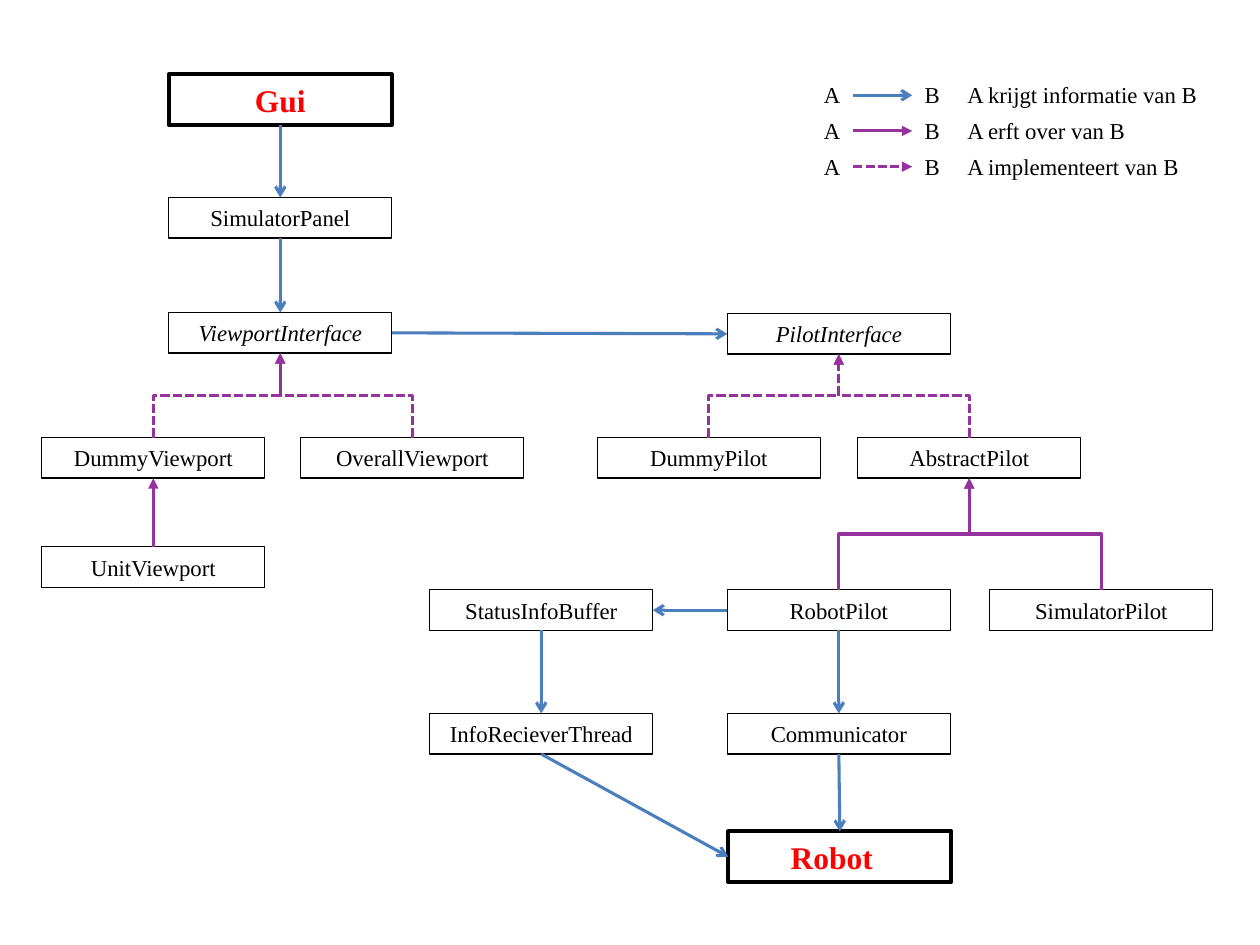
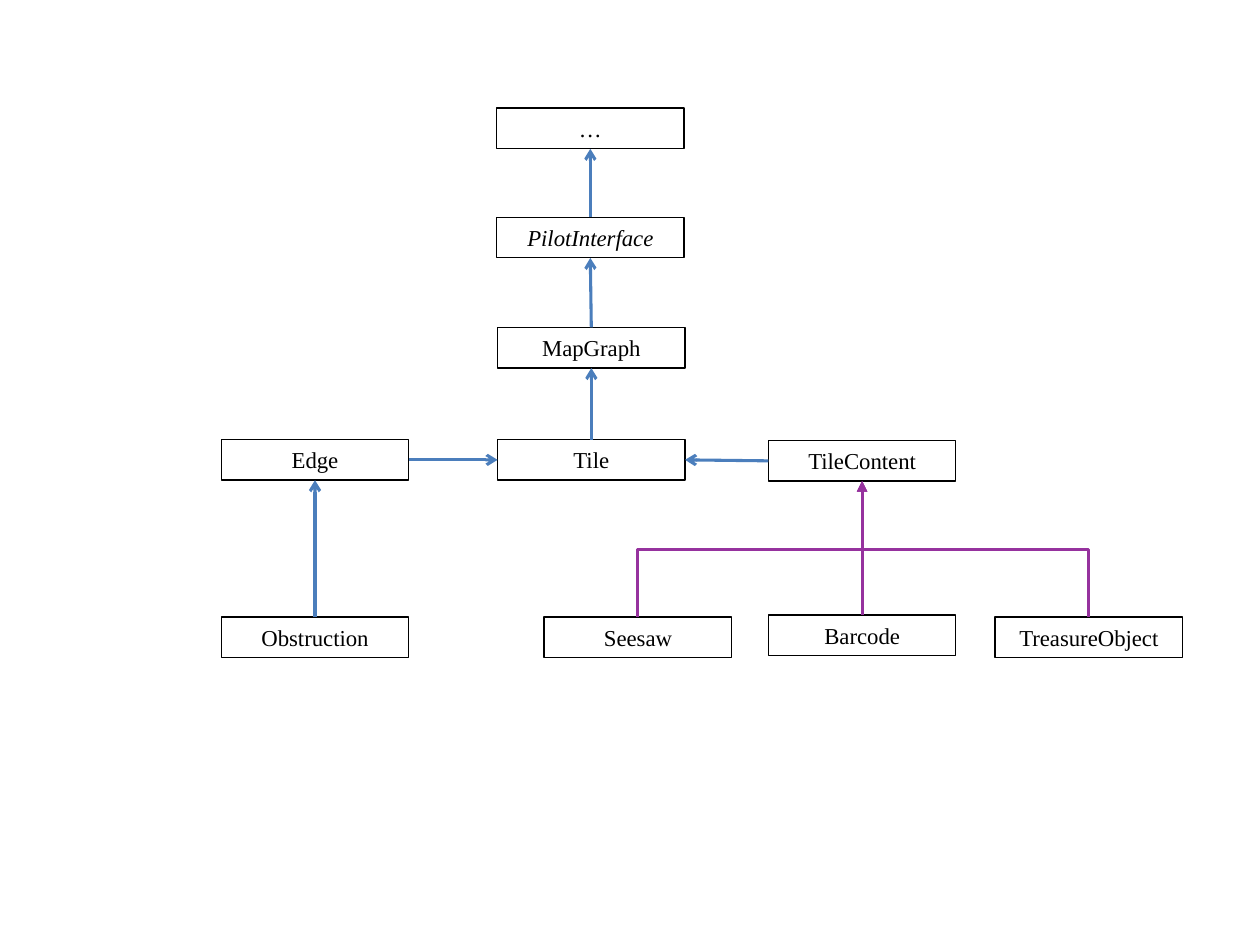
"""Build two class diagrams: the simulator architecture and the map model."""
from lxml import etree
from pptx import Presentation
from pptx.dml.color import RGBColor
from pptx.enum.dml import MSO_LINE
from pptx.enum.shapes import MSO_CONNECTOR, MSO_SHAPE
from pptx.enum.text import MSO_ANCHOR, MSO_AUTO_SIZE, PP_ALIGN
from pptx.oxml.ns import qn
from pptx.util import Cm, Pt

BLACK = RGBColor(0x00, 0x00, 0x00)
RED = RGBColor(0xFF, 0x00, 0x00)
BLUE = RGBColor(0x4B, 0x7E, 0xBC)
PURPLE = RGBColor(0x96, 0x32, 0x9E)
FONT = "Times New Roman"

STRAIGHT, ELBOW = MSO_CONNECTOR.STRAIGHT, MSO_CONNECTOR.ELBOW
RECTANGLE = MSO_SHAPE.RECTANGLE
DASHED = MSO_LINE.SQUARE_DOT
MIDDLE, CENTER = MSO_ANCHOR.MIDDLE, PP_ALIGN.CENTER
FIT_SHAPE = MSO_AUTO_SIZE.SHAPE_TO_FIT_TEXT

INFORMS = (BLUE, None, "arrow")
INHERITS = (PURPLE, None, "triangle")
IMPLEMENTS = (PURPLE, DASHED, "triangle")

TOP, LEFT, BOTTOM, RIGHT = range(4)
DOWN, UP = (BOTTOM, TOP), (TOP, BOTTOM)
RIGHTWARD, LEFTWARD = (RIGHT, LEFT), (LEFT, RIGHT)
BOX_HEIGHT, ENDPOINT_HEIGHT = 0.82, 1.02
INTERFACES = ("ViewportInterface", "PilotInterface")
ENDPOINTS = ("Gui", "Robot")


def add_box(page, name, left, top, width):
    """Add a class box; interfaces are italic and endpoints are emphasised."""
    endpoint = name in ENDPOINTS
    height = ENDPOINT_HEIGHT if endpoint else BOX_HEIGHT
    box = page.shapes.add_shape(RECTANGLE, Cm(left), Cm(top), Cm(width), Cm(height))
    box.shadow.inherit = False
    box.fill.background()
    box.line.color.rgb = BLACK
    box.line.width = Pt(2.25 if endpoint else 0.75)
    frame = box.text_frame
    frame.text = name
    frame.auto_size = FIT_SHAPE
    frame.vertical_anchor = MIDDLE
    para = frame.paragraphs[0]
    para.alignment = CENTER
    para.font.name = FONT
    para.font.size = Pt(18 if endpoint else 13)
    para.font.bold = endpoint
    para.font.italic = name in INTERFACES
    para.font.color.rgb = RED if endpoint else BLACK
    return box


def add_arrow(page, source, target, sites, style, kind=STRAIGHT):
    """Glue an arrow between two shapes; elbows leave and arrive vertically."""
    color, dash, head = style
    arrow = page.shapes.add_connector(kind, 0, 0, 0, 0)
    arrow.begin_connect(source, sites[0])
    arrow.end_connect(target, sites[1])
    properties = arrow._element.spPr
    if kind == ELBOW:
        run, rise = arrow.end_x - arrow.begin_x, arrow.begin_y - arrow.end_y
        middle_x = (arrow.begin_x + arrow.end_x) // 2
        middle_y = (arrow.begin_y + arrow.end_y) // 2
        half_length = rise // 2 if run > 0 else -rise // 2
        arrow.begin_x, arrow.end_x = middle_x - half_length, middle_x + half_length
        arrow.begin_y = middle_y - abs(run) // 2
        arrow.end_y = middle_y + abs(run) // 2
        turn = 270 if run > 0 else 90
        properties.find(qn("a:xfrm")).set("rot", str(turn * 60000))
    arrow.line.color.rgb = color
    arrow.line.width = Pt(1.75)
    if dash:
        arrow.line.dash_style = dash
    tail = etree.SubElement(properties.find(qn("a:ln")), qn("a:tailEnd"))
    tail.set("type", head)
    etree.SubElement(properties, qn("a:effectLst"))


deck = Presentation()
deck.slide_width, deck.slide_height = Cm(25.4), Cm(19.05)
blank = deck.slide_layouts[6]

simulator_boxes = [
    ("Gui", 3.4, 1.5),
    ("SimulatorPanel", 3.4, 3.98),
    ("ViewportInterface", 3.4, 6.3),
    ("PilotInterface", 14.66, 6.32),
    ("DummyViewport", 0.84, 8.82),
    ("OverallViewport", 6.06, 8.82),
    ("DummyPilot", 12.04, 8.82),
    ("AbstractPilot", 17.29, 8.82),
    ("UnitViewport", 0.84, 11.02),
    ("StatusInfoBuffer", 8.66, 11.89),
    ("RobotPilot", 14.66, 11.89),
    ("SimulatorPilot", 19.95, 11.89),
    ("InfoRecieverThread", 8.66, 14.38),
    ("Communicator", 14.66, 14.38),
    ("Robot", 14.68, 16.76),
]
simulator_arrows = [
    ("Gui", "SimulatorPanel", DOWN, INFORMS, STRAIGHT),
    ("SimulatorPanel", "ViewportInterface", DOWN, INFORMS, STRAIGHT),
    ("ViewportInterface", "PilotInterface", RIGHTWARD, INFORMS, STRAIGHT),
    ("DummyViewport", "ViewportInterface", UP, IMPLEMENTS, ELBOW),
    ("OverallViewport", "ViewportInterface", UP, IMPLEMENTS, ELBOW),
    ("DummyPilot", "PilotInterface", UP, IMPLEMENTS, ELBOW),
    ("AbstractPilot", "PilotInterface", UP, IMPLEMENTS, ELBOW),
    ("UnitViewport", "DummyViewport", UP, INHERITS, STRAIGHT),
    ("RobotPilot", "AbstractPilot", UP, INHERITS, ELBOW),
    ("SimulatorPilot", "AbstractPilot", UP, INHERITS, ELBOW),
    ("RobotPilot", "StatusInfoBuffer", LEFTWARD, INFORMS, STRAIGHT),
    ("RobotPilot", "Communicator", DOWN, INFORMS, STRAIGHT),
    ("StatusInfoBuffer", "InfoRecieverThread", DOWN, INFORMS, STRAIGHT),
    ("InfoRecieverThread", "Robot", (BOTTOM, LEFT), INFORMS, STRAIGHT),
    ("Communicator", "Robot", DOWN, INFORMS, STRAIGHT),
]
map_boxes = [
    ("…", 10.01, 2.18),
    ("PilotInterface", 10.01, 4.38),
    ("MapGraph", 10.03, 6.6),
    ("Edge", 4.46, 8.86),
    ("Tile", 10.03, 8.86),
    ("TileContent", 15.49, 8.88),
    ("Obstruction", 4.46, 12.44),
    ("Seesaw", 10.97, 12.44),
    ("Barcode", 15.49, 12.4),
    ("TreasureObject", 20.06, 12.44),
]
map_arrows = [
    ("PilotInterface", "…", UP, INFORMS, STRAIGHT),
    ("MapGraph", "PilotInterface", UP, INFORMS, STRAIGHT),
    ("Tile", "MapGraph", UP, INFORMS, STRAIGHT),
    ("Edge", "Tile", RIGHTWARD, INFORMS, STRAIGHT),
    ("TileContent", "Tile", LEFTWARD, INFORMS, STRAIGHT),
    ("Obstruction", "Edge", UP, INFORMS, STRAIGHT),
    ("Seesaw", "TileContent", UP, INHERITS, ELBOW),
    ("Barcode", "TileContent", UP, INHERITS, STRAIGHT),
    ("TreasureObject", "TileContent", UP, INHERITS, ELBOW),
]

diagrams = [
    (simulator_boxes, simulator_arrows, 4.5),
    (map_boxes, map_arrows, 3.78),
]
for box_rows, arrow_rows, box_width in diagrams:
    page = deck.slides.add_slide(blank)
    boxes = {}
    for name, left, top in box_rows:
        boxes[name] = add_box(page, name, left, top, box_width)
    for source, target, sites, style, kind in arrow_rows:
        add_arrow(page, boxes[source], boxes[target], sites, style, kind)
    if "Robot" in boxes:
        boxes["Robot"].text_frame.margin_right = Cm(0.57)

simulator_page = deck.slides[0]
legend = [
    ("A krijgt informatie van B", 5.21, INFORMS),
    ("A erft over van B", 3.73, INHERITS),
    ("A implementeert van B", 4.83, IMPLEMENTS),
]
for row, (meaning, meaning_width, style) in enumerate(legend):
    top = 1.51 + 0.72 * row
    labels = []
    for text, left, width in (
        ("A", 16.36, 0.84),
        ("B", 18.39, 0.84),
        (meaning, 19.25, meaning_width),
    ):
        label = simulator_page.shapes.add_textbox(
            Cm(left), Cm(top), Cm(width), Cm(BOX_HEIGHT))
        frame = label.text_frame
        frame.text = text
        frame.word_wrap = False
        frame.auto_size = FIT_SHAPE
        para = frame.paragraphs[0]
        para.font.name = FONT
        para.font.size = Pt(13)
        para.font.color.rgb = BLACK
        labels.append(label)
    add_arrow(simulator_page, labels[0], labels[1], RIGHTWARD, style)

deck.save("out.pptx")
